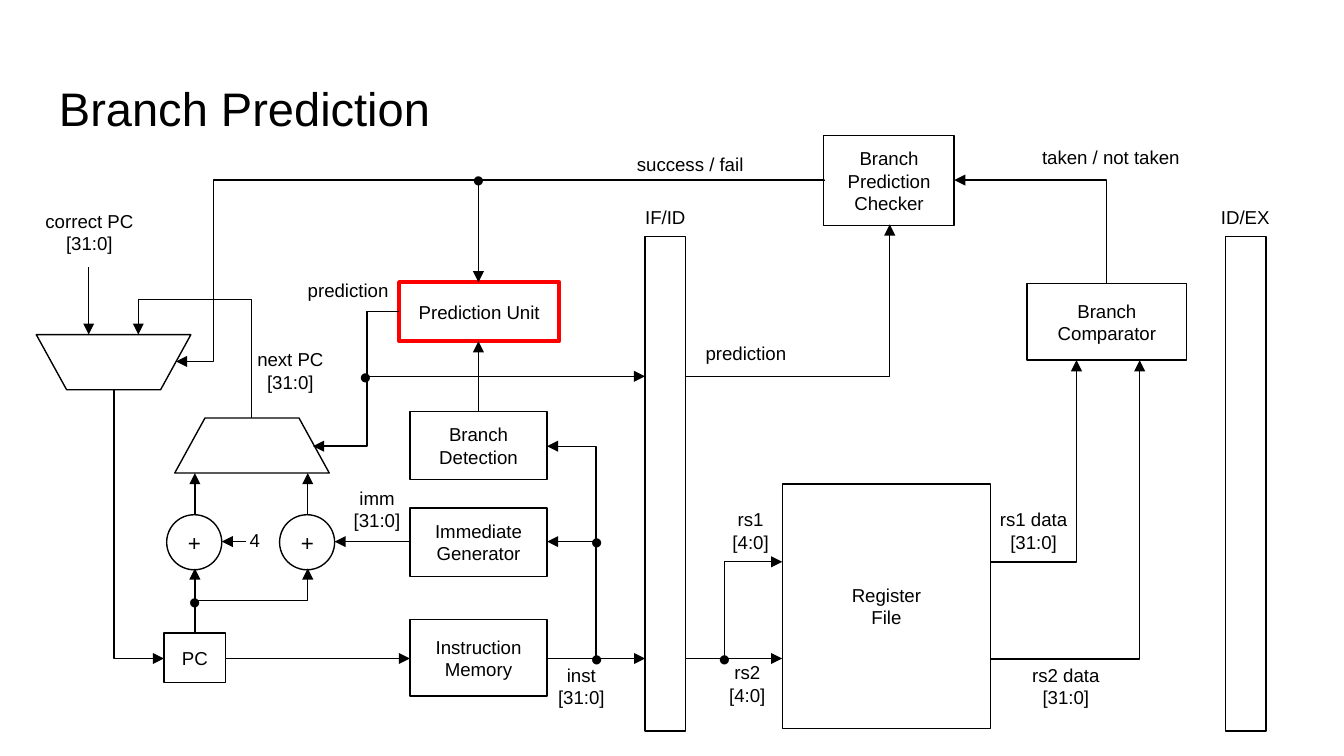
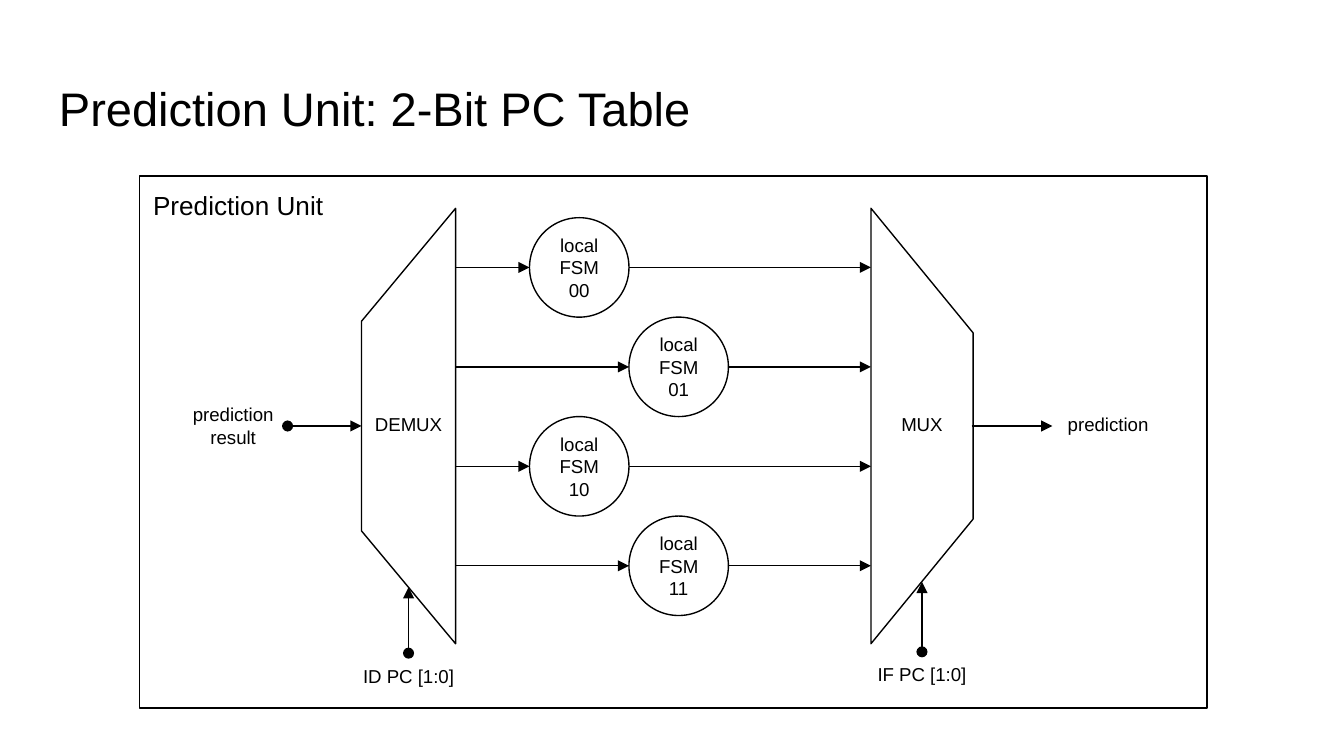
from dataclasses import dataclass

from lxml.etree import SubElement
from pptx import Presentation
from pptx.dml.color import RGBColor
from pptx.enum.shapes import MSO_CONNECTOR as WIRE, MSO_SHAPE as SHAPE
from pptx.enum.text import MSO_ANCHOR as ANCHOR, PP_ALIGN as ALIGN
from pptx.oxml.ns import qn
from pptx.util import Inches, Pt


@dataclass(frozen=True)
class Theme:
    font: str = "Arial"
    ink: str = "000000"
    accent: str = "FF0000"
    title: float = 25.2
    heading: float = 14
    operator: float = 12
    label: float = 10
    dot: float = 18
    thin: float = 0.75
    thick: float = 2.25
    inset: float = 0.1


THEME = Theme()
SLIDE_SIZE = (10, 10 * 9 / 16)
TITLE_AT = (0.34, 0.49, 9.32, 0.63)

# Slide 1: pipeline. Boxes are text, (left, top, width, height)
PIPELINE_TITLE = "Branch Prediction"
UNITS = [
    ("PC", (1.22, 4.71, 0.46, 0.37)),
    ("Instruction Memory", (3.05, 4.61, 1.02, 0.57)),
    ("Immediate Generator", (3.05, 3.78, 1.02, 0.51)),
    ("Branch\nDetection", (3.05, 3.06, 1.02, 0.51)),
    ("Branch Comparator", (7.64, 2.11, 1.19, 0.57)),
    ("Register\nFile", (5.82, 3.6, 1.55, 1.82)),
    ("Branch\nPrediction Checker", (6.13, 1.01, 0.97, 0.67)),
]
PREDICTOR = ("Prediction Unit", (2.97, 2.1, 1.19, 0.44))
STAGES = [  # name, bar left, label left, label width
    ("IF/ID", 4.8, 4.68, 0.54),
    ("ID/EX", 9.12, 8.94, 0.65),
]
ADDER_LEFTS = [1.24, 2.08]
PC_MUXES = [((1.3, 3.11, 1.15, 0.41), 0), ((0.27, 2.49, 1.15, 0.41), 180)]
SIGNALS = [
    ("prediction", (2.17, 1.99, 0.84, 0.37)),
    ("prediction", (5.13, 2.46, 0.84, 0.37)),
    ("inst [31:0]", (4.04, 4.84, 0.57, 0.54)),
    ("imm\n[31:0]", (2.52, 3.52, 0.57, 0.54)),
    ("rs1 [4:0]", (5.3, 3.68, 0.57, 0.54)),
    ("rs2 [4:0]", (5.29, 4.82, 0.54, 0.54)),
    ("rs1 data [31:0]", (7.33, 3.68, 0.72, 0.54)),
    ("rs2 data [31:0]", (7.57, 4.84, 0.72, 0.54)),
    ("4", (1.76, 3.85, 0.26, 0.37)),
    ("next PC\n[31:0]", (1.8, 2.49, 0.72, 0.54)),
    ("correct PC\n[31:0]", (0.21, 1.46, 0.91, 0.54)),
    ("taken / not taken", (7.53, 1, 1.47, 0.37)),
    ("success / fail", (4.4, 1.05, 1.47, 0.37)),
]
JUNCTIONS = [(4.44, 4.9), (5.39, 4.9), (4.44, 4.03), (1.45, 4.48),
             (3.56, 1.34), (2.72, 2.8)]
STRAIGHT_WIRES = [
    ((1.68, 4.9), (3.05, 4.9)),
    ((4.07, 4.9), (4.8, 4.9)),
    ((5.1, 4.9), (5.82, 4.9)),
    ((3.05, 4.03), (2.49, 4.03)),
    ((1.83, 4.03), (1.65, 4.03)),
    ((1.45, 4.71), (1.45, 4.23)),
    ((1.45, 3.83), (1.45, 3.52)),
    ((2.29, 3.83), (2.29, 3.52)),
    ((3.56, 3.06), (3.56, 2.54)),
    ((0.66, 1.99), (0.66, 2.49)),
]
# start, end, axis of the first run, where on that axis the wire turns
BENT_WIRES = [
    ((4.06, 4.9), (4.07, 4.03), "x", 4.44),
    ((4.06, 4.9), (4.07, 3.32), "x", 4.44),
    ((5.1, 4.9), (5.82, 4.18), "x", 5.39),
    ((7.37, 4.18), (8.01, 2.68), "y", 4.18),
    ((7.37, 4.9), (8.48, 2.68), "y", 4.9),
    ((0.85, 2.9), (1.22, 4.9), "x", 0.85),
    ((1.45, 4.71), (2.29, 4.23), "y", 4.47),
    ((1.87, 3.11), (1.03, 2.49), "y", 2.23),
    ((6.13, 1.34), (1.31, 2.69), "x", 1.59),
    ((6.13, 1.34), (3.56, 2.1), "y", 1.34),
    ((2.97, 2.32), (2.33, 3.32), "x", 2.73),
    ((2.97, 2.32), (4.8, 2.8), "x", 2.73),
    ((8.23, 2.11), (7.1, 1.34), "x", 8.23),
    ((5.1, 2.8), (6.62, 1.67), "y", 2.8),
]

# Slide 2: table of local predictors
TABLE_TITLE = "Prediction Unit: 2-Bit PC Table"
FRAME = (1.04, 1.31, 7.94, 3.96)
FRAME_HEADING = ("Prediction Unit", (1.04, 1.31, 1.65, 0.44))
FSMS = ["local\nFSM 00", "local\nFSM\n01", "local\nFSM\n10", "local\nFSM\n11"]
FSM_LEFT, FSM_TOP, FSM_SIZE = 3.94, 1.62, 0.74
DEMUX_EDGE, MUX_EDGE = 3.39, 6.48
SELECTORS = [  # box before rotation, rotation, slant
    ((1.42, 2.82, 3.24, 0.7), 270, 1.2),
    ((5.24, 2.79, 3.24, 0.76), 90, 1.22),
]
PORTS = [
    ("DEMUX", (2.66, 2.99, 0.76, 0.37)),
    ("MUX", (6.48, 2.99, 0.76, 0.37)),
    ("prediction\nresult", (1.32, 2.9, 0.83, 0.54)),
    ("prediction", (7.83, 2.99, 0.83, 0.37)),
    ("ID PC [1:0]", (2.51, 4.86, 1.06, 0.37)),
    ("IF PC [1:0]", (6.33, 4.85, 1.06, 0.37)),
]
INPUT_WIRES = [
    ((2.14, 3.17), (2.69, 3.17)),
    ((3.04, 4.86), (3.04, 4.37)),
    ((6.86, 4.85), (6.86, 4.33)),
]
OUTPUT_WIRE = ((7.23, 3.17), (7.83, 3.17))


def write(holder, text, size=THEME.label, align=ALIGN.CENTER, anchor=ANCHOR.TOP):
    frame = holder.text_frame
    frame.word_wrap = True
    frame.vertical_anchor = anchor
    frame.margin_left = frame.margin_right = Inches(THEME.inset)
    frame.margin_top = frame.margin_bottom = Inches(THEME.inset)
    frame.text = text
    for paragraph in frame.paragraphs:
        paragraph.alignment = align
        for run in paragraph.runs:
            run.font.name = THEME.font
            run.font.size = Pt(size)
            run.font.color.rgb = RGBColor.from_string(THEME.ink)


def label(slide, text, at, **style):
    write(slide.shapes.add_textbox(*map(Inches, at)), text, **style)


def outline(slide, kind, at, text="", size=THEME.label, color=THEME.ink,
            weight=THEME.thin, turn=0, slant=None):
    part = slide.shapes.add_shape(kind, *map(Inches, at))
    part.shadow.inherit = False
    part.fill.background()
    part.line.color.rgb = RGBColor.from_string(color)
    part.line.width = Pt(weight)
    part.rotation = turn
    if slant is not None:
        part.adjustments[0] = slant
    if text:
        write(part, text, size=size, anchor=ANCHOR.MIDDLE)


def wire(slide, start, end, kind=WIRE.STRAIGHT, head=None):
    link = slide.shapes.add_connector(kind, *map(Inches, (*start, *end)))
    link.line.color.rgb = RGBColor.from_string(THEME.ink)
    link.line.width = Pt(THEME.thin)
    ln = link.line._get_or_add_ln()
    if head:
        SubElement(ln, qn("a:headEnd"), type=head)
    SubElement(ln, qn("a:tailEnd"), type="triangle")
    SubElement(link._element.spPr, qn("a:effectLst"))
    return link


def bent_wire(slide, start, end, axis, turn_at):
    link = wire(slide, start, end, WIRE.ELBOW)
    (x0, y0), (x1, y1) = start, end
    dx, dy = x1 - x0, y1 - y0
    if axis == "x":
        width, height = abs(dx), abs(dy)
        turn = 180 if dy < 0 else 0
        flip = (dx > 0) if turn else (dx < 0)
        ratio = (turn_at - x0) / dx
    else:
        width, height = abs(dy), abs(dx)
        turn = 270 if dx > 0 else 90
        flip = (dy > 0) if turn == 270 else (dy < 0)
        ratio = (turn_at - y0) / dy
    # The box is centred between both ends and then rotated
    link.left = Inches((x0 + x1 - width) / 2)
    link.top = Inches((y0 + y1 - height) / 2)
    link.width, link.height = Inches(width), Inches(height)
    xfrm = link._element.spPr.find(qn("a:xfrm"))
    xfrm.set("rot", str(turn * 60000))
    xfrm.set("flipH", str(int(flip)))
    xfrm.set("flipV", "0")
    # A corner right at the start keeps a tiny first run
    bend = round(ratio * 100000) or -200
    guides = link._element.spPr.find(qn("a:prstGeom")).get_or_add_avLst()
    SubElement(guides, qn("a:gd"), name="adj1", fmla=f"val {bend}")


def titled_slide(deck, title):
    slide = deck.slides.add_slide(deck.slide_layouts[6])
    label(slide, title, TITLE_AT, size=THEME.title, align=ALIGN.LEFT)
    return slide


def build_pipeline(deck):
    slide = titled_slide(deck, PIPELINE_TITLE)
    # Pipeline registers and units
    for stage, left, label_left, label_width in STAGES:
        outline(slide, SHAPE.RECTANGLE, (left, 1.76, 0.3, 3.68))
        label(slide, stage, (label_left, 1.45, label_width, 0.37))
    for unit, at in UNITS:
        outline(slide, SHAPE.RECTANGLE, at, unit)
    name, at = PREDICTOR
    outline(slide, SHAPE.RECTANGLE, at, name, color=THEME.accent, weight=THEME.thick)
    # Adders and multiplexers
    for left in ADDER_LEFTS:
        outline(slide, SHAPE.OVAL, (left, 3.83, 0.41, 0.41), "+", size=THEME.operator)
    for at, turn in PC_MUXES:
        outline(slide, SHAPE.TRAPEZOID, at, turn=turn, slant=0.55)
    # Wires, junctions and signal names
    for start, end in STRAIGHT_WIRES:
        wire(slide, start, end)
    for route in BENT_WIRES:
        bent_wire(slide, *route)
    for x, y in JUNCTIONS:
        label(slide, "•", (x - 0.2, y - 0.2, 0.4, 0.39), size=THEME.dot,
              anchor=ANCHOR.MIDDLE)
    for signal, at in SIGNALS:
        label(slide, signal, at)


def build_table(deck):
    slide = titled_slide(deck, TABLE_TITLE)
    outline(slide, SHAPE.RECTANGLE, FRAME)
    heading, at = FRAME_HEADING
    label(slide, heading, at, size=THEME.heading, align=ALIGN.LEFT)
    for at, turn, slant in SELECTORS:
        outline(slide, SHAPE.TRAPEZOID, at, turn=turn, slant=slant)
    # State machines step down row by row, in two alternating columns
    for row, fsm in enumerate(FSMS):
        left = FSM_LEFT + row % 2 * FSM_SIZE
        top = FSM_TOP + row * FSM_SIZE
        middle = top + FSM_SIZE / 2
        outline(slide, SHAPE.OVAL, (left, top, FSM_SIZE, FSM_SIZE), fsm)
        wire(slide, (DEMUX_EDGE, middle), (left, middle))
        wire(slide, (left + FSM_SIZE, middle), (MUX_EDGE, middle))
    # Inputs and output
    for start, end in INPUT_WIRES:
        wire(slide, start, end, head="oval")
    wire(slide, *OUTPUT_WIRE)
    for port, at in PORTS:
        label(slide, port, at)


def main():
    deck = Presentation()
    deck.slide_width, deck.slide_height = map(Inches, SLIDE_SIZE)
    build_pipeline(deck)
    build_table(deck)
    deck.save("out.pptx")


if __name__ == "__main__":
    main()
